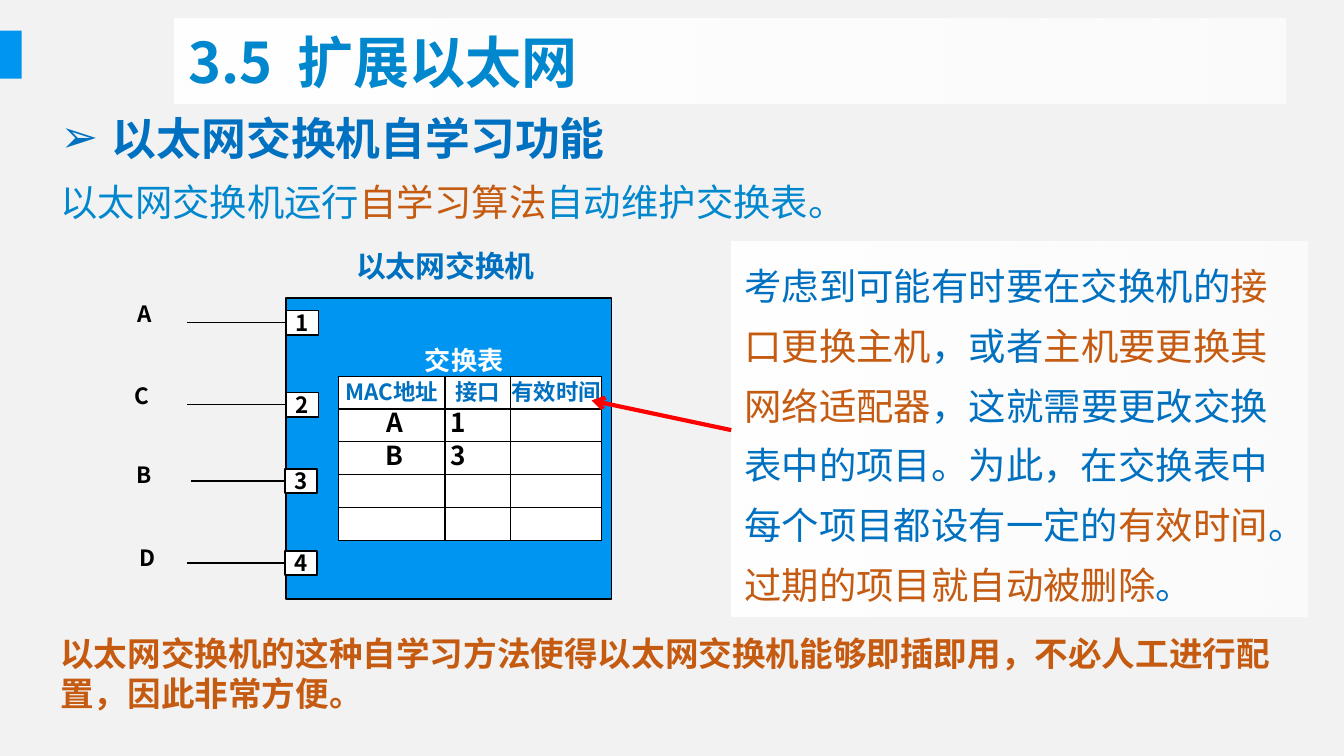
"""Build the slide on how an Ethernet switch learns its forwarding table."""
from lxml import etree
from pptx import Presentation, util as u
from pptx.dml import color
from pptx.enum import shapes, text
from pptx.oxml import ns

FONT = "Noto Sans CJK SC"
COLORS = {
    "paper": "F2F2F2", "switch": "0095F0", "title": "0087CD", "blue": "0070C0",
    "accent": "C55A11", "black": "000000", "white": "FFFFFF", "red": "FF0000",
}
HOSTS = [
    # host, port, label left, label top, wire left, port left, port top
    ("A", "1", 2.28, 5.54, 3.53, 5.41, 5.87),
    ("C", "2", 2.23, 7.09, 3.53, 5.41, 7.42),
    ("B", "3", 2.28, 8.59, 3.61, 5.38, 8.86),
    ("D", "4", 2.34, 10.16, 3.53, 5.38, 10.41),
]
ENTRIES = [("MAC地址", "接口", "有效时间"), ("A", "1", ""), ("B", "3", ""),
           ("", "", ""), ("", "", "")]
COLUMN_WIDTHS = (2.01, 1.24, 1.72)
ROW_HEIGHT = 0.62
PORT_WIDTH, PORT_HEIGHT = 0.61, 0.46
LEFT = text.PP_ALIGN.LEFT
CENTER = text.PP_ALIGN.CENTER
RIGHT = text.PP_ALIGN.RIGHT


def rgb(name):
    return color.RGBColor.from_string(COLORS[name])


def child(parent, tag, **attributes):
    return etree.SubElement(parent, ns.qn(tag), attributes)


def place(shape, left, top, width, height):
    shape.left, shape.top = u.Cm(left), u.Cm(top)
    shape.width, shape.height = u.Cm(width), u.Cm(height)


def write(frame, parts, size, bold=False, align=LEFT, spacing=None):
    """Fill the first paragraph with (words, colour) parts in one font."""
    paragraph = frame.paragraphs[0]
    paragraph.alignment = align
    paragraph.space_before = u.Pt(0)
    if spacing:
        paragraph.line_spacing = u.Pt(spacing)
    paragraph.font.name = FONT
    paragraph.font.size = u.Pt(size)
    paragraph.font.bold = bold
    if len(parts) == 1:
        paragraph.font.color.rgb = rgb(parts[0][1])
    child(paragraph._p.pPr.find(ns.qn("a:defRPr")), "a:ea", typeface=FONT)
    for words, tint in parts:
        if words:
            run = paragraph.add_run()
            run.text = words
            if len(parts) > 1:
                run.font.color.rgb = rgb(tint)


def add_text(slide, box, parts, size, wrap=True, **style):
    label = slide.shapes.add_textbox(*map(u.Cm, box))
    label.text_frame.word_wrap = wrap
    write(label.text_frame, parts, size, **style)
    return label


def add_block(slide, box, fill, outlined=True):
    block = slide.shapes.add_shape(shapes.MSO_SHAPE.RECTANGLE, *map(u.Cm, box))
    block.shadow.inherit = False
    block.fill.solid()
    block.fill.fore_color.rgb = rgb(fill)
    if outlined:
        block.line.color.rgb = rgb("black")
        block.line.width = u.Pt(1)
    else:
        block.line.fill.background()
    return block


def add_line(slide, start, end, tint="black", width=0.75, arrow=False):
    line = slide.shapes.add_connector(
        shapes.MSO_CONNECTOR.STRAIGHT, *map(u.Cm, start + end))
    line.line.color.rgb = rgb(tint)
    line.line.width = u.Pt(width)
    if arrow:
        child(line.line._get_or_add_ln(), "a:tailEnd", type="arrow")
    child(line._element.spPr, "a:effectLst")


def fade_white(panel):
    """Fill a panel with white that turns partly transparent to the right."""
    panel.fill.gradient()
    panel.fill.gradient_angle = 0
    for stop in panel.fill.gradient_stops:
        stop.color.rgb = rgb("white")
    last = panel._element.spPr.findall(".//" + ns.qn("a:srgbClr"))[-1]
    child(last, "a:alpha", val="67000")


def add_title(slide, words):
    title = slide.shapes.title
    place(title, 3.3, 0.36, 21, 1.6)
    fade_white(title)
    title.text_frame.auto_size = text.MSO_AUTO_SIZE.NONE
    title.text_frame.vertical_anchor = text.MSO_ANCHOR.MIDDLE
    write(title.text_frame, [(words, "title")], 30, bold=True)


def add_topic(slide, words):
    topic = slide.placeholders[1]
    place(topic, 0.89, 1.96, 23.39, 1.27)
    topic.text_frame.auto_size = text.MSO_AUTO_SIZE.NONE
    properties = topic.text_frame.paragraphs[0]._p.get_or_add_pPr()
    properties.set("marL", str(u.Cm(0.97)))
    properties.set("indent", str(-u.Cm(0.97)))
    child(properties, "a:buChar", char="➢")
    write(topic.text_frame, [(words, "blue")], 24, bold=True)


def format_cell(cell, words, is_header):
    cell.margin_left = u.Cm(0 if is_header else 0.1)
    cell.margin_right = cell.margin_top = cell.margin_bottom = 0
    cell.vertical_anchor = text.MSO_ANCHOR.MIDDLE
    cell.fill.solid()
    cell.fill.fore_color.rgb = rgb("white")
    properties = cell._tc.get_or_add_tcPr()
    for index, side in enumerate(("a:lnL", "a:lnR", "a:lnT", "a:lnB")):
        border = etree.Element(ns.qn(side), w=str(u.Pt(0.75)))
        child(child(border, "a:solidFill"), "a:srgbClr", val=COLORS["black"])
        properties.insert(index, border)
    align = CENTER if is_header or words.isalpha() else LEFT
    write(cell.text_frame, [(words, "blue" if is_header else "black")],
          12 if is_header else 14, bold=True, align=align, spacing=16)


def add_switch_table(slide):
    box = (6.4, 7.11, sum(COLUMN_WIDTHS), ROW_HEIGHT * len(ENTRIES))
    table = slide.shapes.add_table(
        len(ENTRIES), len(COLUMN_WIDTHS), *map(u.Cm, box)).table
    table.first_row = table.horz_banding = False
    for column, width in zip(table.columns, COLUMN_WIDTHS):
        column.width = u.Cm(width)
    for row_index, entry in enumerate(ENTRIES):
        table.rows[row_index].height = u.Cm(ROW_HEIGHT)
        for column_index, words in enumerate(entry):
            format_cell(table.cell(row_index, column_index), words, row_index == 0)


def add_host(slide, host, number, label_left, label_top, wire_left, port_left, port_top):
    wire_y = port_top + PORT_HEIGHT / 2
    add_line(slide, (wire_left, wire_y), (port_left, wire_y))
    add_text(slide, (label_left, label_top, 0.84, 0.76), [(host, "black")], 12,
             wrap=False, bold=True, align=RIGHT)
    port = add_block(slide, (port_left, port_top, PORT_WIDTH, PORT_HEIGHT), "white")
    frame = port.text_frame
    frame.margin_left = frame.margin_right = frame.margin_top = frame.margin_bottom = 0
    frame.vertical_anchor = text.MSO_ANCHOR.MIDDLE
    write(frame, [(number, "black")], 12, bold=True, align=CENTER)


def main():
    deck = Presentation()
    deck.slide_width, deck.slide_height = u.Cm(25.4), u.Cm(14.29)
    slide = deck.slides.add_slide(deck.slide_layouts[1])
    slide.background.fill.solid()
    slide.background.fill.fore_color.rgb = rgb("paper")

    add_block(slide, (0, 0.58, 0.41, 0.91), "switch", outlined=False)
    add_title(slide, "3.5  扩展以太网")
    add_topic(slide, "以太网交换机自学习功能")
    add_text(slide, (0.89, 3.15, 23.39, 1.22), [
        ("以太网交换机运行", "title"), ("自学习算法", "accent"),
        ("自动维护交换表。", "title")], 20, spacing=27)

    add_block(slide, (5.41, 5.64, 6.15, 5.69), "switch")
    add_text(slide, (6.45, 4.55, 3.94, 0.94), [("以太网交换机", "blue")], 16,
             wrap=False, bold=True, align=CENTER)
    add_text(slide, (7.77, 6.38, 2.01, 0.84), [("交换表", "white")], 14,
             wrap=False, bold=True, align=CENTER)
    add_switch_table(slide)
    for host in HOSTS:
        add_host(slide, *host)

    note = add_text(slide, (13.82, 4.57, 10.9, 7.09), [
        ("考虑到可能有时要在交换机的", "blue"), ("接口更换主机", "accent"),
        ("，或者", "blue"), ("主机要更换其网络适配器", "accent"),
        ("，这就需要更改交换表中的项目。为此，在交换表中每个项目都设有一定的", "blue"),
        ("有效时间", "accent"), ("。", "blue"),
        ("过期的项目就自动被删除", "accent"), ("。", "blue")], 20, spacing=32)
    fade_white(note)
    add_line(slide, (13.82, 8.13), (11.18, 7.57), "red", 2.25, arrow=True)
    add_text(slide, (0.89, 11.84, 23.39, 1.8), [(
        "以太网交换机的这种自学习方法使得以太网交换机能够即插即用，"
        "不必人工进行配置，因此非常方便。", "accent")], 18, bold=True)
    deck.save("out.pptx")


if __name__ == "__main__":
    main()
